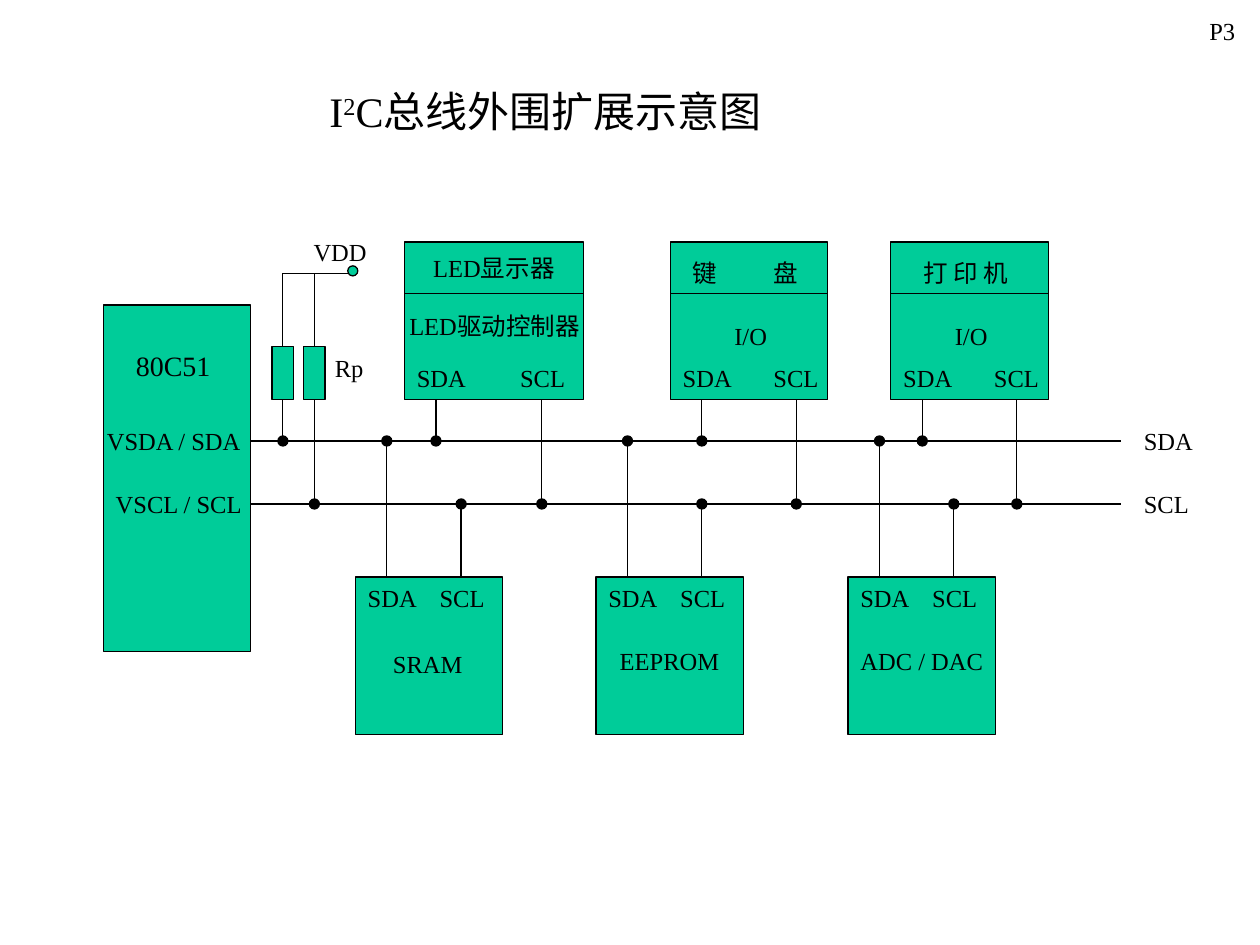
from lxml.etree import SubElement
from pptx import Presentation
from pptx.dml.color import RGBColor
from pptx.enum.shapes import MSO_CONNECTOR as Link, MSO_SHAPE as Shape
from pptx.enum.text import MSO_ANCHOR as Anchor, PP_ALIGN as Align
from pptx.oxml.ns import qn
from pptx.util import Inches, Pt

COLORS = {"chip": "00CC99", "ink": "000000"}
FONT = "Times New Roman"
SDA_Y, SCL_Y, BUS_END = 3.5, 4, 8.9
LABEL_HEIGHT = 0.34


def color(name):
    """Return the named palette colour."""
    return RGBColor.from_string(COLORS[name])


def add_solid(slide, kind, left, top, width, height, fill="chip"):
    """Add a filled, outlined preset shape."""
    solid = slide.shapes.add_shape(
        kind, Inches(left), Inches(top), Inches(width), Inches(height))
    solid.shadow.inherit = False
    solid.fill.solid()
    solid.fill.fore_color.rgb = color(fill)
    solid.line.color.rgb = color("ink")
    solid.line.width = Pt(0.75)
    return solid


def add_dot(slide, x, y, fill="ink"):
    """Add a small round node centred on a point."""
    add_solid(slide, Shape.OVAL, x - 0.04, y - 0.04, 0.08, 0.08, fill)


def add_wire(slide, x1, y1, x2, y2):
    """Draw a thin straight wire."""
    wire = slide.shapes.add_connector(
        Link.STRAIGHT, Inches(x1), Inches(y1), Inches(x2), Inches(y2))
    wire.line.color.rgb = color("ink")
    wire.line.width = Pt(0.75)
    SubElement(wire._element.spPr, qn("a:effectLst"))
    return wire


def add_drop(slide, x, start, bus_y):
    """Wire a pin to a bus line and mark the junction."""
    wire = add_wire(slide, x, start, x, bus_y)
    add_dot(slide, x, bus_y)
    return wire


def add_label(slide, text, left, top, width, size=14, tab=None):
    """Add a one-line label, with a tab stop if it has two columns."""
    label = slide.shapes.add_textbox(
        Inches(left), Inches(top), Inches(width), Inches(LABEL_HEIGHT))
    frame = label.text_frame
    frame.word_wrap = True
    line = frame.paragraphs[0]
    line.text = text
    if tab:
        stops = SubElement(line._p.get_or_add_pPr(), qn("a:tabLst"))
        SubElement(stops, qn("a:tab"), pos=str(Inches(tab)), algn="l")
    line.font.name = FONT
    line.font.size = Pt(size)
    line.font.color.rgb = color("ink")


def add_title(slide, left, top, width, height):
    """Add the heading with its superscript 2."""
    title = slide.shapes.add_textbox(
        Inches(left), Inches(top), Inches(width), Inches(height))
    frame = title.text_frame
    frame.word_wrap = True
    frame.vertical_anchor = Anchor.MIDDLE
    heading = frame.paragraphs[0]
    heading.alignment = Align.CENTER
    heading.font.name = FONT
    heading.font.size = Pt(24)
    heading.font.color.rgb = color("ink")
    for part in ("I", "2", "C总线外围扩展示意图"):
        run = heading.add_run()
        run.text = part
        if part == "2":
            run._r.get_or_add_rPr().set("baseline", "30000")


def add_controller(slide, left, top, width, height):
    """Add the microcontroller and the two bus lines leaving it."""
    add_solid(slide, Shape.RECTANGLE, left, top, width, height)
    add_label(slide, "80C51", left + 0.16, top + 0.3, 1.08, size=16)
    buses = (("VSDA / SDA", -0.07, "SDA", SDA_Y), ("VSCL / SCL", 0, "SCL", SCL_Y))
    for pin, shift, bus, y in buses:
        add_wire(slide, left + width, y, BUS_END, y)
        add_label(slide, pin, left + shift, y - 0.17, 1.5)
        add_label(slide, bus, BUS_END + 0.08, y - 0.17, 0.83)


def add_pullups(slide, left, top):
    """Add the two pull-up resistors and their supply terminal."""
    supply_y = top - 0.58
    for index, bus_y in enumerate((SDA_Y, SCL_Y)):
        x = left + 0.25 * index
        resistor = add_solid(slide, Shape.RECTANGLE, x, top, 0.17, 0.42)
        middle = x + 0.085
        add_drop(slide, middle, top + 0.42, bus_y).begin_connect(resistor, 2)
        add_wire(slide, middle, top, middle, supply_y).begin_connect(resistor, 0)
    add_wire(slide, left + 0.085, supply_y, left + 0.6, supply_y)
    add_dot(slide, left + 0.64, supply_y - 0.02, "chip")
    add_label(slide, "Rp", left + 0.4, top, 0.5)
    add_label(slide, "VDD", left + 0.23, top - 0.92, 0.67)


def add_peripheral(slide, left, top, width, height, heading, driver, scl, tab):
    """Add a two-part device above the bus."""
    add_solid(slide, Shape.RECTANGLE, left, top, width, height)
    add_wire(slide, left, top + 0.41, left + width, top + 0.41)
    for text, dx, dy, stop in (heading, driver):
        add_label(slide, text, left + dx, top + dy, 1.67, tab=stop)
    bottom = top + height
    add_label(slide, "SDA\tSCL", left, bottom - LABEL_HEIGHT, 1.5, tab=tab)
    add_drop(slide, left + 0.25, bottom, SDA_Y)
    add_drop(slide, left + scl, bottom, SCL_Y)


def add_memory(slide, left, top, width, height, name, dx, dy):
    """Add a single-part device below the bus."""
    add_solid(slide, Shape.RECTANGLE, left, top, width, height)
    add_label(slide, "SDA\tSCL", left, top, 1.25, tab=0.57)
    add_label(slide, name, left + dx, top + dy, 1.25)
    add_drop(slide, left + 0.25, top, SDA_Y)
    add_drop(slide, left + 0.84, top, SCL_Y)


def main():
    """Build the bus expansion slide."""
    deck = Presentation()
    deck.slide_width, deck.slide_height = Inches(10), Inches(7.5)
    slide = deck.slides.add_slide(deck.slide_layouts[6])
    add_title(slide, 2.33, 0.67, 4, 0.42)
    add_label(slide, "P3", 9.5, 0.08, 0.5)
    add_controller(slide, 0.82, 2.42, 1.17, 2.75)
    add_pullups(slide, 2.16, 2.75)
    io_driver = ("I/O", 0.41, 0.58, None)
    peripherals = (
        (3.21, 1.42, ("LED显示器", 0.13, 0.04, None),
         ("LED驱动控制器", -0.06, 0.5, None), 1.09, 0.82),
        (5.32, 1.25, ("键\t盘", 0.08, 0.08, 0.64), io_driver, 1, 0.72),
        (7.07, 1.25, ("打 印 机", 0.16, 0.08, None), io_driver, 1, 0.72),
    )
    for left, width, heading, driver, scl, tab in peripherals:
        add_peripheral(slide, left, 1.92, width, 1.25, heading, driver, scl, tab)
    memories = ((2.82, "SRAM", 0.2, 0.52), (4.73, "EEPROM", 0.09, 0.5),
                (6.73, "ADC / DAC", 0, 0.5))
    for left, name, dx, dy in memories:
        add_memory(slide, left, 4.58, 1.17, 1.25, name, dx, dy)
    deck.save("out.pptx")


if __name__ == "__main__":
    main()
